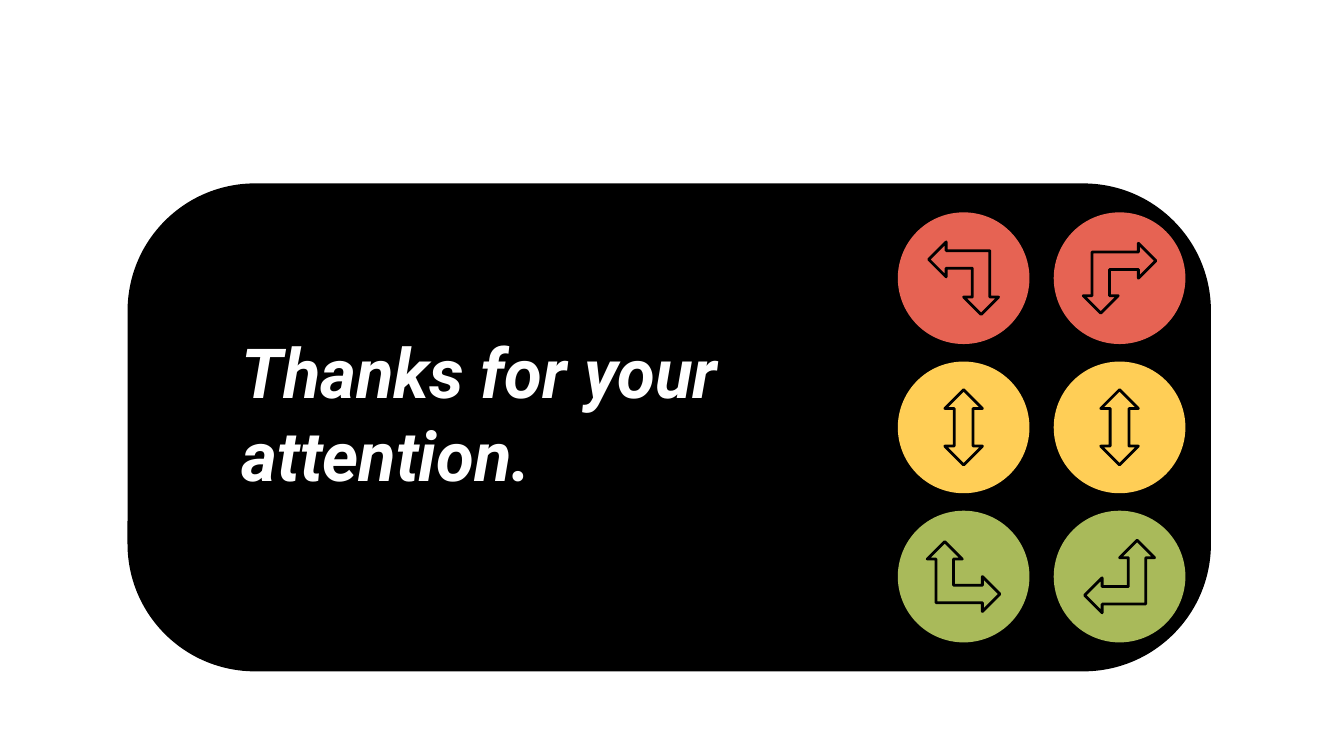
from dataclasses import dataclass

import pptx
import pptx.dml.color
import pptx.enum.shapes
import pptx.enum.text
import pptx.util

Inches = pptx.util.Inches
Pt = pptx.util.Pt
SHAPE = pptx.enum.shapes.MSO_SHAPE

BLACK, WHITE = "000000", "FFFFFF"
RED, YELLOW, GREEN = "E66353", "FFCE56", "A9BA5A"

LEFT_X, COLUMN_STEP = 7.17, 1.16
TOP_Y, ROW_STEP = 2.07, 1.11
DIAMETER = 0.98


@dataclass
class Light:
    column: int
    row: int
    color: str
    arrow: SHAPE
    rotation: int = 0
    flip: bool = False

    @property
    def center(self) -> tuple[float, float]:
        return LEFT_X + self.column * COLUMN_STEP, TOP_Y + self.row * ROW_STEP


LIGHTS = [
    Light(0, 0, RED, SHAPE.LEFT_UP_ARROW, 270),
    Light(1, 0, RED, SHAPE.LEFT_UP_ARROW, 180),
    Light(0, 1, YELLOW, SHAPE.UP_DOWN_ARROW),
    Light(1, 1, YELLOW, SHAPE.UP_DOWN_ARROW),
    Light(0, 2, GREEN, SHAPE.LEFT_UP_ARROW, flip=True),
    Light(1, 2, GREEN, SHAPE.LEFT_UP_ARROW, 270, flip=True),
]


def rgb(color: str) -> pptx.dml.color.RGBColor:
    return pptx.dml.color.RGBColor.from_string(color)


def add_shape(s, kind: SHAPE, center: tuple[float, float], width: float, height: float,
              fill: str | None = None, line: str | None = None):
    x, y = center
    sp = s.shapes.add_shape(kind, Inches(x - width / 2), Inches(y - height / 2),
                            Inches(width), Inches(height))
    sp.shadow.inherit = False
    if fill:
        sp.fill.solid()
        sp.fill.fore_color.rgb = rgb(fill)
    else:
        sp.fill.background()
    if line:
        sp.line.color.rgb = rgb(line)
        sp.line.width = Pt(1.5)
    else:
        sp.line.fill.background()
    return sp


def add_light(s, light: Light) -> None:
    add_shape(s, SHAPE.OVAL, light.center, DIAMETER, DIAMETER, fill=light.color)
    straight = light.arrow == SHAPE.UP_DOWN_ARROW
    width, height = (0.28, 0.56) if straight else (0.54, 0.52)
    sp = add_shape(s, light.arrow, light.center, width, height, line=BLACK)
    if straight:
        sp.adjustments[0] = 0.65
        sp.adjustments[1] = 0.5
    sp.rotation = light.rotation
    if light.flip:
        sp.element.spPr.get_or_add_xfrm().set("flipH", "1")


def add_message(s, text: str) -> None:
    sp = s.shapes.add_textbox(Inches(1.7), Inches(2.35), Inches(5.68), Inches(1.45))
    tf = sp.text_frame
    tf.word_wrap = True
    tf.auto_size = pptx.enum.text.MSO_AUTO_SIZE.SHAPE_TO_FIT_TEXT
    tf.margin_left = tf.margin_right = tf.margin_top = tf.margin_bottom = Inches(0.1)
    p = tf.paragraphs[0]
    r = p.add_run()
    r.text = text
    r.font.name = "Roboto"
    r.font.size = Pt(37)
    r.font.bold = r.font.italic = True
    r.font.color.rgb = rgb(WHITE)


def main() -> None:
    prs = pptx.Presentation()
    prs.slide_width = Inches(10)
    prs.slide_height = prs.slide_width * 9 // 16
    s = prs.slides.add_slide(prs.slide_layouts[6])
    panel = add_shape(s, SHAPE.ROUNDED_RECTANGLE, (4.98, 3.18), 8.04, 3.61, BLACK, BLACK)
    panel.adjustments[0] = 0.26
    for light in LIGHTS:
        add_light(s, light)
    add_message(s, "Thanks for your attention.")
    prs.save("out.pptx")


if __name__ == "__main__":
    main()
